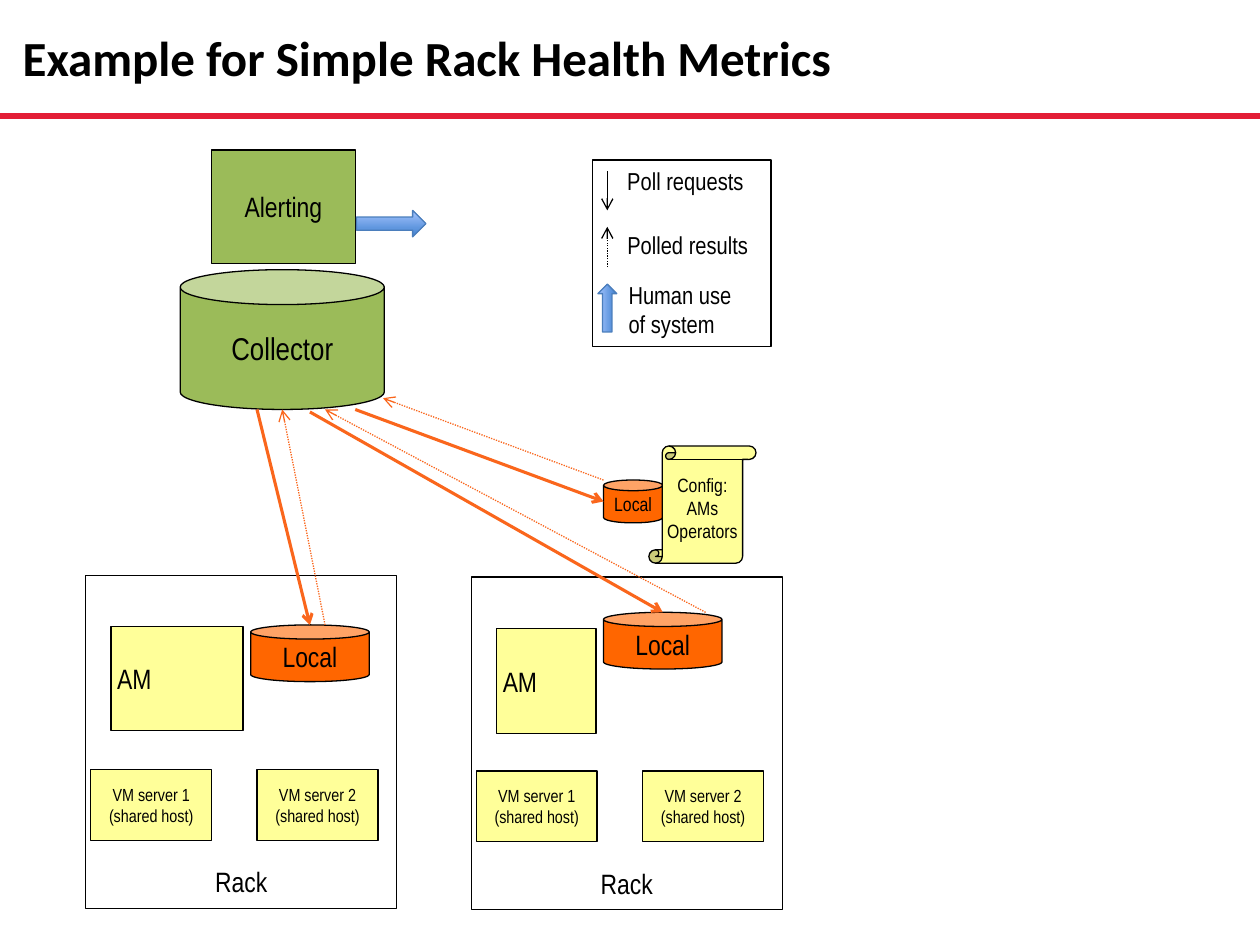
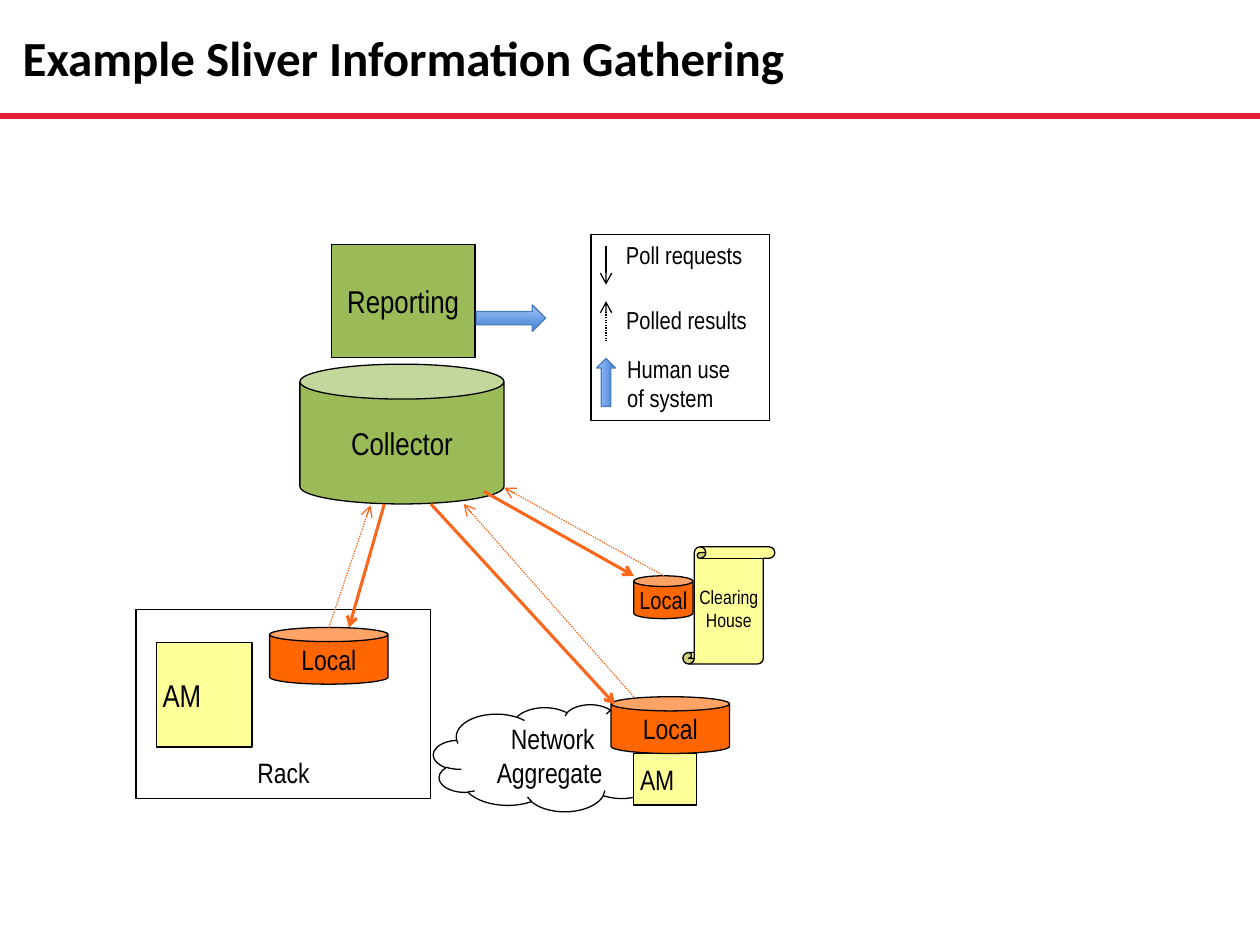
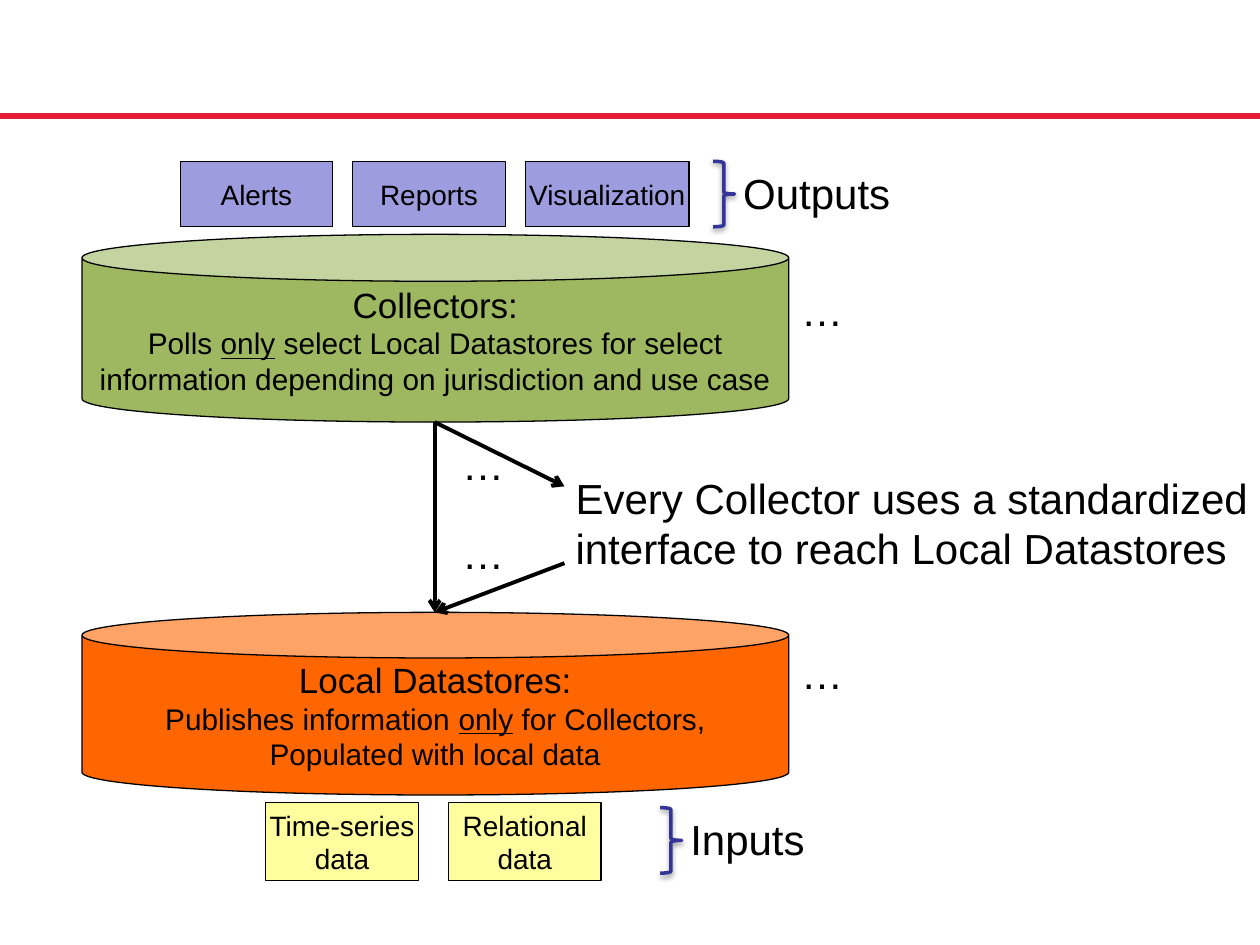
import dataclasses

import pptx
import pptx.dml.color
import pptx.enum.dml
import pptx.enum.shapes
import pptx.enum.text
import pptx.oxml
import pptx.oxml.ns
import pptx.util

SHAPE = pptx.enum.shapes.MSO_SHAPE
ANCHOR = pptx.enum.text.MSO_ANCHOR
ALIGN = pptx.enum.text.PP_ALIGN
RGB = pptx.dml.color.RGBColor.from_string
Pt = pptx.util.Pt
CELL = pptx.util.Inches(1)  # the slide is a grid of 10 columns by 7.5 rows
COLS, ROWS = 10, 7.5


@dataclasses.dataclass(frozen=True)
class Theme:
    ink: str = "000000"
    white: str = "FFFFFF"
    rule: str = "E31E36"
    green: str = "9BBB59"
    soft_green: str = "9DB861"
    orange: str = "FF6600"
    poll: str = "FA661C"
    yellow: str = "FFFF99"
    soft_yellow: str = "FFFE9E"
    lilac: str = "9C9CDF"
    brace: str = "333399"
    human: tuple = ("3F80CE", "A4C4FF")
    human_line: str = "4B7EBC"
    title_font: str = "Calibri"
    narrow: str = "Arial Narrow"
    wide: str = "Arial"
    title: int = 28
    callout: int = 24
    heading: int = 20
    large: int = 18
    detail: int = 17
    body: int = 16
    legend: int = 14
    small: int = 11
    tiny: int = 10


T = Theme()


def node(s, kind, box, text="", fill=None, size=T.body, font=T.narrow, wrap=True):
    """Add an outlined shape with centred text, or a plain label if kind is None."""
    x, y, w, h = [round(v * CELL) for v in box]
    if kind is None:
        sp = s.shapes.add_textbox(x, y, w, h)
    else:
        sp = s.shapes.add_shape(kind, x, y, w, h)
        sp.shadow.inherit = False
        sp.line.color.rgb = RGB(T.ink)
        sp.line.width = Pt(0.75)
        if fill is None:
            sp.fill.background()
        elif isinstance(fill, tuple):
            sp.fill.gradient()
            sp.fill.gradient_angle = 90
            for stop, color in zip(sp.fill.gradient_stops, fill):
                stop.color.rgb = RGB(color)
            sp.line.color.rgb = RGB(T.human_line)
        else:
            sp.fill.solid()
            sp.fill.fore_color.rgb = RGB(fill)
    if text:
        tf = sp.text_frame
        tf.text = text
        tf.word_wrap = wrap
        if kind is None:
            tf.auto_size = pptx.enum.text.MSO_AUTO_SIZE.SHAPE_TO_FIT_TEXT
        else:
            tf.vertical_anchor = ANCHOR.MIDDLE
            tf.margin_left = tf.margin_right = 0
        for p in tf.paragraphs:
            p.alignment = ALIGN.LEFT if kind is None else ALIGN.CENTER
            for r in p.runs:
                r.font.size, r.font.name = Pt(size), font
                r.font.color.rgb = RGB(T.ink)
    return sp


def line(s, start, end, color=T.ink, width=0.75, dotted=False, arrow=True):
    points = [round(v * CELL) for v in (*start, *end)]
    cx = s.shapes.add_connector(pptx.enum.shapes.MSO_CONNECTOR.STRAIGHT, *points)
    cx.line.color.rgb = RGB(color)
    cx.line.width = Pt(width)
    if dotted:
        cx.line.dash_style = pptx.enum.dml.MSO_LINE.ROUND_DOT
    ns = pptx.oxml.ns.nsdecls("a")
    if arrow:
        cx.line._get_or_add_ln().append(
            pptx.oxml.parse_xml(f'<a:tailEnd {ns} type="arrow"/>'))
    cx.element.spPr.append(pptx.oxml.parse_xml(f"<a:effectLst {ns}/>"))
    return cx


prs = pptx.Presentation()
prs.slide_width, prs.slide_height = COLS * CELL, round(ROWS * CELL)
title_only, blank = prs.slide_layouts[5], prs.slide_layouts[6]

# Both polling slides: title, collector with its tool, and legend
polling = []
for title, tool, tool_size, (cx, cy), (lx, ly) in [
    ("Example for Simple Rack Health Metrics", "Alerting", T.body, (1.43, 2.14), (4.7, 1.27)),
    ("Example Sliver Information Gathering", "Reporting", T.large, (2.38, 2.89), (4.69, 1.86)),
]:
    s = prs.slides.add_slide(title_only)
    polling.append(s)
    ph = s.shapes.title
    ph.left, ph.top, ph.width, ph.height = [round(v * CELL) for v in (0.08, 0.08, 7.78, 0.75)]
    ph.text_frame.text = title
    ph.text_frame.vertical_anchor = ANCHOR.MIDDLE
    p = ph.text_frame.paragraphs[0]
    p.alignment = ALIGN.LEFT
    font = p.runs[0].font
    font.size, font.name, font.bold = Pt(T.title), T.title_font, True
    font.color.rgb = RGB(T.ink)

    node(s, SHAPE.CAN, (cx, cy, 1.62, 1.11), "Collector", T.green, T.large)
    node(s, SHAPE.RECTANGLE, (cx + 0.25, cy - 0.95, 1.14, 0.9), tool, T.green, tool_size)
    node(s, SHAPE.RIGHT_ARROW, (cx + 1.4, cy - 0.47, 0.55, 0.21), fill=T.human)

    node(s, SHAPE.RECTANGLE, (lx, ly, 1.42, 1.48))
    node(s, None, (lx + 0.18, ly, 1.23, 0.34), "Poll requests", size=T.legend, wrap=False)
    node(s, None, (lx + 0.18, ly + 0.51, 1.28, 0.34), "Polled results", size=T.legend, wrap=False)
    node(s, None, (lx + 0.19, ly + 0.9, 1.1, 0.57), "Human use of system", size=T.legend)
    line(s, (lx + 0.12, ly + 0.09), (lx + 0.12, ly + 0.4))
    line(s, (lx + 0.12, ly + 0.85), (lx + 0.12, ly + 0.53), dotted=True)
    sp = node(s, SHAPE.RIGHT_ARROW, (lx - 0.07, ly + 1.1, 0.38, 0.15), fill=T.human)
    sp.rotation = 270

health, sliver = polling

# The red rule belongs to the master, so every slide shows it
rule = line(health, (COLS, 0.92), (0, 0.92), T.rule, 3, arrow=False)
prs.slide_master.shapes.element.append(rule.element)

# Racks and aggregate managers
for s, box in [
    (health, (0.68, 4.57, 2.47, 2.64)),
    (health, (3.74, 4.58, 2.47, 2.64)),
    (sliver, (1.08, 4.84, 2.34, 1.5)),
]:
    tf = node(s, SHAPE.RECTANGLE, box, "Rack").text_frame
    tf.vertical_anchor = ANCHOR.BOTTOM
    tf.margin_bottom = round(0.08 * CELL)
    if s is health:
        for column in range(2):
            node(s, SHAPE.RECTANGLE, (box[0] + 0.04 + 1.32 * column, box[1] + 1.54, 0.96, 0.56),
                 f"VM server {column + 1}\n(shared host)", T.yellow, T.tiny)

node(sliver, SHAPE.CLOUD, (3.44, 5.59, 2.04, 0.85), "Network\nAggregate ", T.white)

for s, box, size in [
    (health, (0.88, 4.97, 1.05, 0.83), T.body),
    (health, (3.94, 4.99, 0.79, 0.83), T.body),
    (sliver, (1.24, 5.1, 0.76, 0.83), T.large),
    (sliver, (5.03, 5.98, 0.5, 0.41), T.body),
]:
    tf = node(s, SHAPE.RECTANGLE, box, "AM", T.yellow, size).text_frame
    tf.paragraphs[0].alignment = ALIGN.LEFT
    tf.margin_left = round(0.05 * CELL)

# Local datastores, and the scrolls that overlap the small ones
for s, x, y in [(health, 1.99, 4.96), (health, 4.79, 4.86), (sliver, 2.14, 4.98), (sliver, 4.85, 5.53)]:
    node(s, SHAPE.CAN, (x, y, 0.94, 0.45), "Local", T.orange)
for s, x, y, size, scroll, text in [
    (health, 4.79, 3.81, T.small, (5.15, 3.54, 0.85, 0.93), "Config:\nAMs\nOperators"),
    (sliver, 5.03, 4.57, T.legend, (5.42, 4.34, 0.73, 0.93), "Clearing House"),
]:
    node(s, SHAPE.CAN, (x, y, 0.47, 0.34), "Local", T.orange, size)
    node(s, SHAPE.VERTICAL_SCROLL, scroll, text, T.yellow, T.small)

# Each request is paired with the dotted result that comes back
for s, request, result in [
    (health, ((2.04, 3.25), (2.46, 4.96)), ((2.58, 4.96), (2.24, 3.25))),
    (health, ((2.46, 3.27), (5.26, 4.86)), ((5.6, 4.86), (2.58, 3.25))),
    (health, ((2.82, 3.25), (4.79, 3.98)), ((4.79, 3.81), (3.04, 3.16))),
    (sliver, ((3.05, 4), (2.77, 4.98)), ((2.61, 4.98), (2.94, 4.01))),
    (sliver, ((3.84, 3.9), (5.03, 4.57)), ((5.27, 4.57), (4, 3.87))),
    (sliver, ((3.42, 4), (4.88, 5.59)), ((5.03, 5.53), (3.68, 4))),
]:
    line(s, *request, T.poll, 1.75)
    line(s, *result, T.poll, dotted=True)

# Architecture slide, without a title
s = prs.slides.add_slide(blank)
for y, h, fill, heading, before, after in [
    (4.86, 1.45, T.orange, "Local Datastores:", "Publishes information ",
     " for Collectors,\nPopulated with local data"),
    (1.86, 1.49, T.soft_green, "Collectors:", "Polls ",
     " select Local Datastores for select information depending on jurisdiction and use case"),
]:
    sp = node(s, SHAPE.CAN, (0.65, y, 5.61, h), f"{heading}\n{before}only{after}", fill, T.detail, T.wide)
    paragraphs = sp.text_frame.paragraphs
    paragraphs[0].runs[0].font.size = Pt(T.heading)
    p = paragraphs[1]
    p.text = before
    for part in ("only", after.split("\n")[0]):
        p.add_run().text = part
    for r in p.runs:
        r.font.size, r.font.name = Pt(T.detail), T.wide
        r.font.color.rgb = RGB(T.ink)
        r.font.underline = r.text == "only"

for start, end in [
    ((3.45, 3.35), (3.45, 4.86)),
    ((4.48, 4.47), (3.45, 4.86)),
    ((3.45, 3.35), (4.48, 3.86)),
]:
    line(s, start, end, width=2.25)

for column, (text, w) in enumerate([("Alerts", 1.21), ("Reports", 1.21), ("Visualization", 1.3)]):
    node(s, SHAPE.RECTANGLE, (1.43 + 1.37 * column, 1.28, w, 0.52), text, T.lilac, font=T.wide)
for column, text in enumerate(["Time-series data", "Relational data"]):
    node(s, SHAPE.RECTANGLE, (2.11 + 1.45 * column, 6.37, 1.21, 0.62), text, T.soft_yellow, font=T.wide)

for x, y in [(3.57, 3.43), (3.57, 4.14), (6.26, 2.21), (6.26, 5.09)]:
    node(s, None, (x, y, 0.54, 0.5), "…", size=T.callout, font=T.wide, wrap=False)
node(s, None, (4.47, 3.7, 5.63, 0.91),
     "Every Collector uses a standardized interface to reach Local Datastores",
     size=T.callout, font=T.wide)

for text, x, y, w in [("Outputs", 5.66, 1.28, 1.38), ("Inputs", 5.24, 6.41, 1.12)]:
    node(s, None, (x + 0.14, y, w, 0.5), text, size=T.callout, font=T.wide, wrap=False)
    sp = node(s, SHAPE.RIGHT_BRACE, (x, y, 0.17, 0.52))
    sp.line.color.rgb = RGB(T.brace)
    sp.line.width = Pt(2)
    sp.element.spPr.find(pptx.oxml.ns.qn("a:effectLst")).append(pptx.oxml.parse_xml(
        f'<a:outerShdw {pptx.oxml.ns.nsdecls("a")} blurRad="{Pt(3.1)}" dist="{Pt(1.6)}"'
        f' dir="5400000" rotWithShape="0"><a:srgbClr val="{T.ink}">'
        '<a:alpha val="38000"/></a:srgbClr></a:outerShdw>'))

prs.save("out.pptx")
